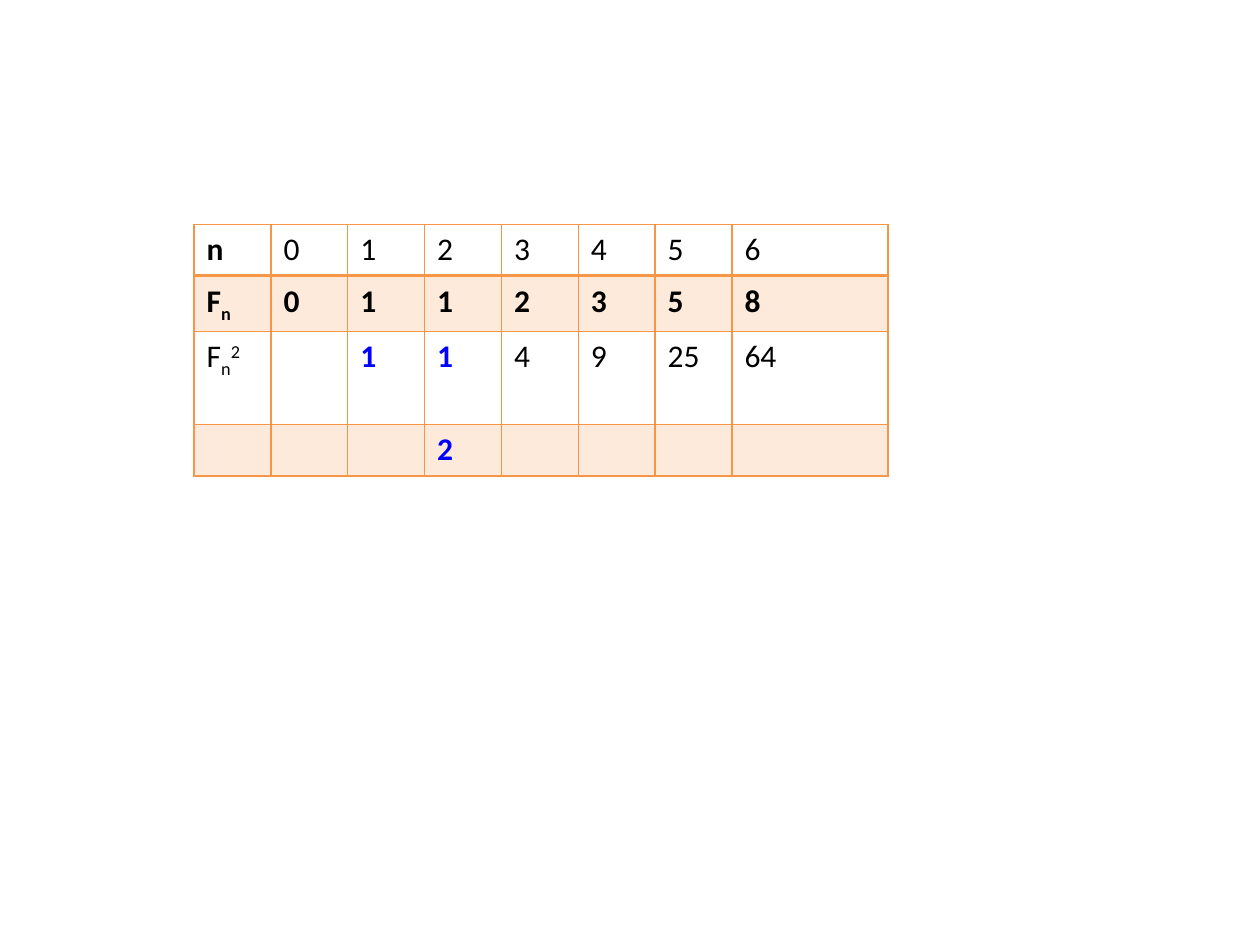
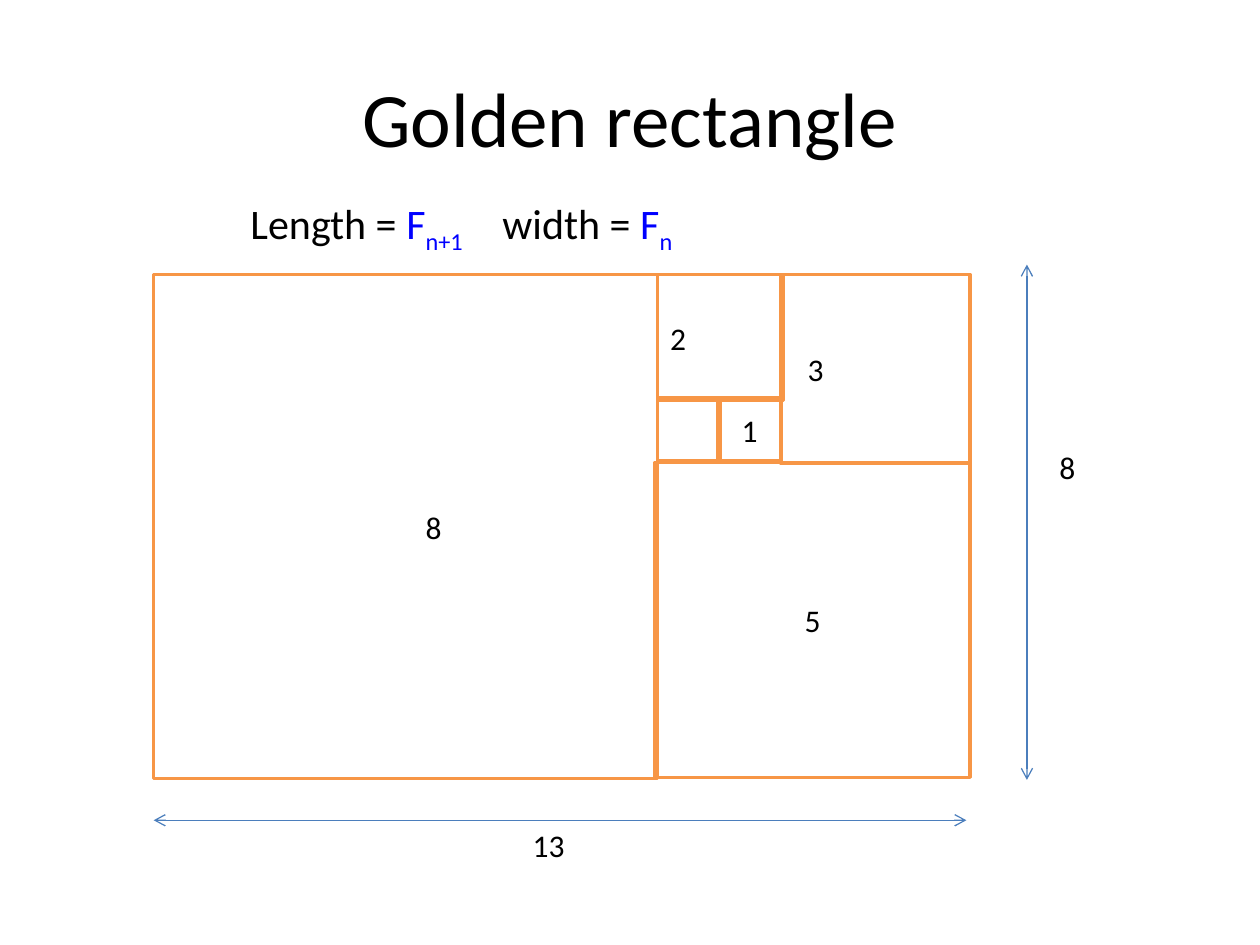
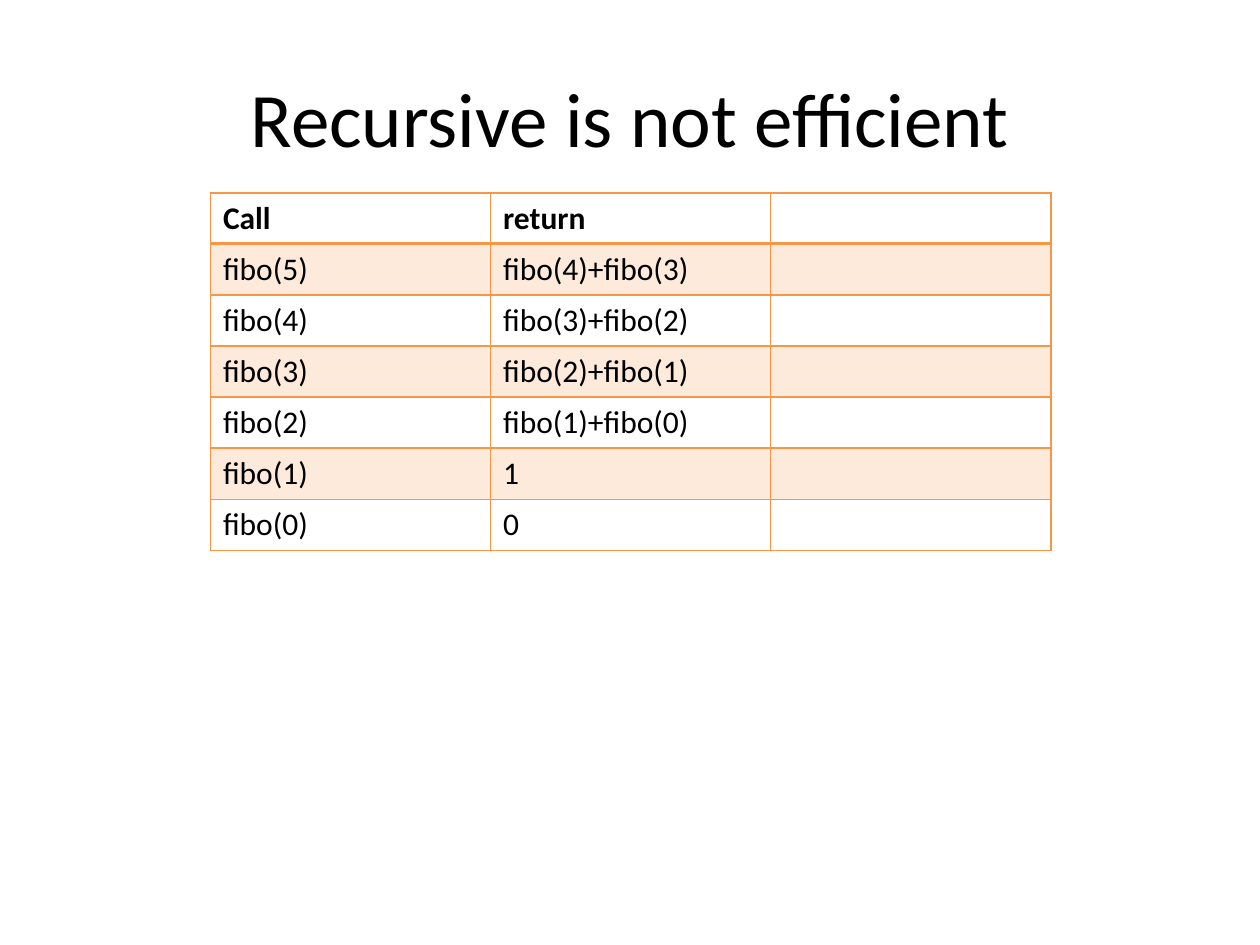
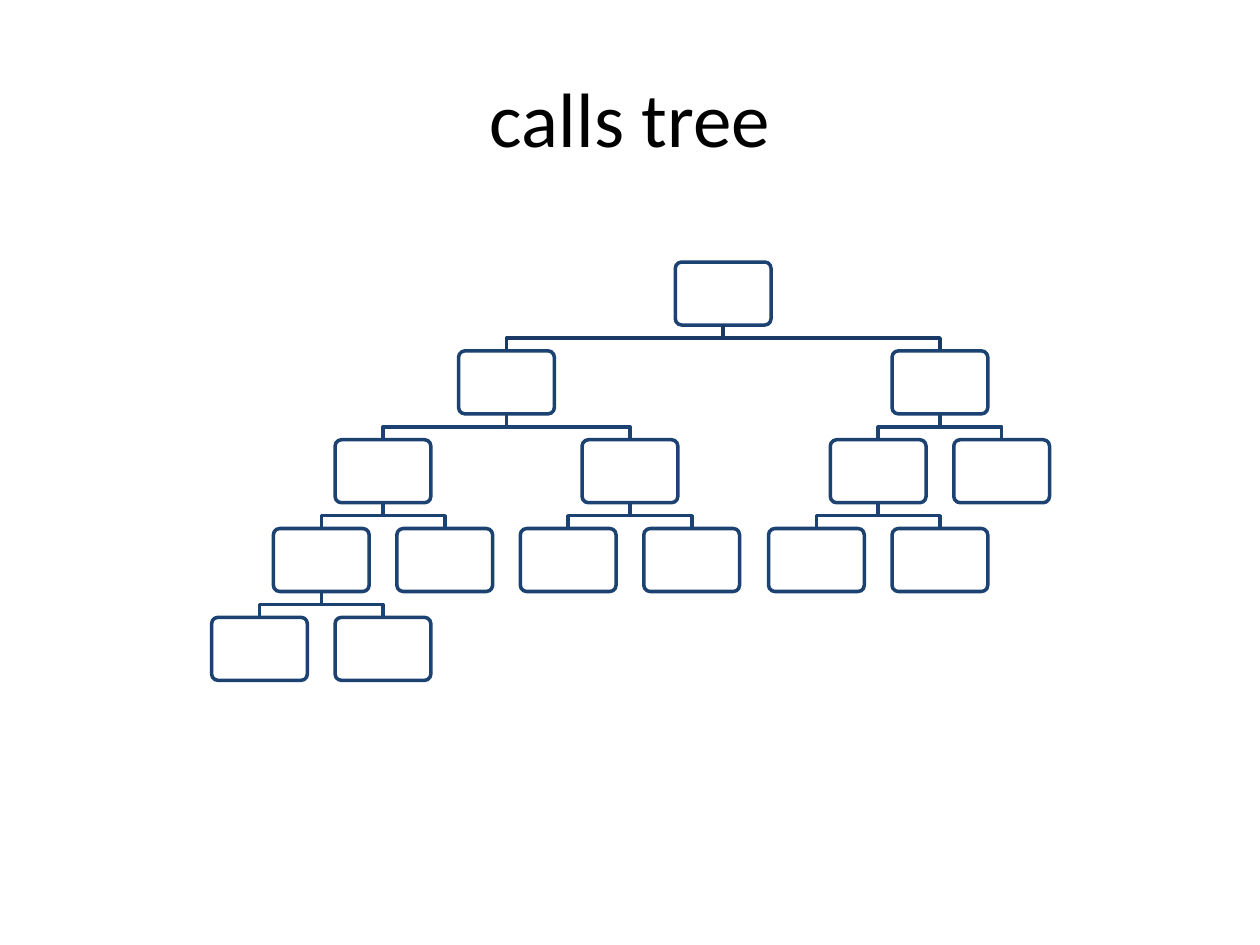
"""Build four slides on Fibonacci numbers, the golden rectangle and recursive calls."""
from typing import NamedTuple

from lxml import etree
from pptx import Presentation
from pptx import util as u
from pptx.dml.color import RGBColor
from pptx.enum import shapes, text
from pptx.oxml import ns

FONT = "Calibri"
BLACK, WHITE, BLUE = "000000", "FFFFFF", "0000FF"
ORANGE, STEEL, NAVY, DARK = "F79646", "4B7EBC", "1C4271", "193A64"
UNIT = 0.5
NODE_W, NODE_H, LEVEL = 0.76, 0.5, 0.705
SPREAD = {5: 1.72, 4: 0.98, 3: 0.49, 2: 0.49}
CENTER, LEFT = text.PP_ALIGN.CENTER, text.PP_ALIGN.LEFT


class Run(NamedTuple):
    """A piece of text with its own weight, colour and baseline."""
    text: str
    bold: bool = False
    color: str = BLACK
    base: int = 0


class Square(NamedTuple):
    """A square of the golden rectangle, its side in Fibonacci units."""
    left: float
    top: float
    side: int
    label: str = ""
    align: text.PP_ALIGN = CENTER
    inset: float = 0.1


class Arrow(NamedTuple):
    """A double-headed measure with the place of its label."""
    start: tuple
    end: tuple
    label: str
    place: tuple


def rgb(code: str) -> RGBColor:
    """Turn a hex string into a colour."""
    return RGBColor.from_string(code)


def write(frame, content, size: float = 18, align=None, anchor=None):
    """Write a string or a series of runs into the first paragraph."""
    par = frame.paragraphs[0]
    if align is not None:
        par.alignment = align
    if anchor is not None:
        frame.vertical_anchor = anchor
    runs = [Run(content)] if isinstance(content, str) else content
    for item in runs:
        if not item.text:
            continue
        run = par.add_run()
        run.text = item.text
        font = run.font
        font.name, font.size, font.bold = FONT, u.Pt(size), item.bold
        font.color.rgb = rgb(item.color)
        if item.base:
            font._element.set("baseline", str(item.base * 1000))
    return par


def stroke(shape, color: str, width: float) -> None:
    """Set the line of a shape."""
    shape.line.color.rgb = rgb(color)
    shape.line.width = u.Pt(width)


def add_title(deck, title: str):
    """Add a slide with a centred title."""
    slide = deck.slides.add_slide(deck.slide_layouts[5])
    head = slide.shapes.title
    head.left, head.top = u.Inches(0.5), u.Inches(0.3)
    head.width, head.height = u.Inches(9), u.Inches(1.25)
    write(head.text_frame, title, size=44, align=CENTER, anchor=text.MSO_ANCHOR.MIDDLE)
    return slide


def add_box(slide, left: float, top: float, width: float, height: float, wrap: bool):
    """Add an empty text box and return its frame."""
    box = slide.shapes.add_textbox(*map(u.Inches, (left, top, width, height)))
    box.text_frame.word_wrap = wrap
    return box.text_frame


def edge(cell, side: str, width: float) -> None:
    """Draw one border of a cell."""
    props = cell._tc.get_or_add_tcPr()
    line = etree.SubElement(props, ns.qn(f"a:ln{side}"), w=str(u.Pt(width)))
    fill = etree.SubElement(line, ns.qn("a:solidFill"))
    etree.SubElement(fill, ns.qn("a:srgbClr"), val=ORANGE)


def shade(cell) -> None:
    """Fill a cell with a light tint of orange."""
    cell.fill.solid()
    cell.fill.fore_color.rgb = rgb(ORANGE)
    tint = cell._tc.tcPr.find(f"{ns.qn('a:solidFill')}/{ns.qn('a:srgbClr')}")
    etree.SubElement(tint, ns.qn("a:alpha"), val="20000")


def add_grid(slide, left: float, top: float, widths: list, heights: list, rows: list) -> None:
    """Add a banded table with a heavier rule under its first row."""
    area = map(u.Inches, (left, top, sum(widths), sum(heights)))
    table = slide.shapes.add_table(len(rows), len(widths), *area).table
    for col, width in zip(table.columns, widths):
        col.width = u.Inches(width)
    for i, (row, height) in enumerate(zip(rows, heights)):
        table.rows[i].height = u.Inches(height)
        for j, content in enumerate(row):
            cell = table.cell(i, j)
            write(cell.text_frame, content)
            for side in "LRTB":
                edge(cell, side, 2 if (i, side) in ((0, "B"), (1, "T")) else 1)
            if i % 2:
                shade(cell)
            else:
                cell.fill.background()


def add_square(slide, item: Square) -> None:
    """Draw a square with its side as label."""
    side = u.Inches(item.side * UNIT)
    shape = slide.shapes.add_shape(
        shapes.MSO_SHAPE.RECTANGLE, u.Inches(item.left), u.Inches(item.top), side, side)
    shape.shadow.inherit = False
    shape.fill.background()
    stroke(shape, ORANGE, 2)
    shape.text_frame.margin_left = u.Inches(item.inset)
    write(shape.text_frame, item.label, align=item.align, anchor=text.MSO_ANCHOR.MIDDLE)


def add_arrow(slide, item: Arrow) -> None:
    """Draw a measure and its label."""
    ends = map(u.Inches, (*item.start, *item.end))
    line = slide.shapes.add_connector(shapes.MSO_CONNECTOR.STRAIGHT, *ends)
    stroke(line, STEEL, 0.75)
    props = line._element.spPr
    for tag in ("headEnd", "tailEnd"):
        etree.SubElement(props.find(ns.qn("a:ln")), ns.qn(f"a:{tag}"), type="arrow")
    etree.SubElement(props, ns.qn("a:effectLst"))
    write(add_box(slide, *item.place, 0.4, wrap=False), item.label)


def add_link(group, start: tuple, end: tuple, color: str) -> None:
    """Join a call to one of its inner calls with an elbow line."""
    mid = (start[1] + end[1]) / 2
    points = [start, (start[0], mid), (end[0], mid), end]
    first, *rest = [(u.Inches(x), u.Inches(y)) for x, y in points]
    pen = group.shapes.build_freeform(*first)
    pen.add_line_segments(rest, close=False)
    line = pen.convert_to_shape()
    line.shadow.inherit = False
    line.fill.background()
    stroke(line, color, 2)


def add_call(group, n: int, mid: float, top: float) -> None:
    """Draw a call and, below it, the calls it makes."""
    node = group.shapes.add_shape(
        shapes.MSO_SHAPE.ROUNDED_RECTANGLE,
        *map(u.Inches, (mid - NODE_W / 2, top, NODE_W, NODE_H)))
    node.adjustments[0] = 0.1
    node.shadow.inherit = False
    node.fill.solid()
    node.fill.fore_color.rgb = rgb(WHITE)
    stroke(node, NAVY, 2)
    if n < 2:
        return
    for sign, less in ((-1, 1), (1, 2)):
        child = mid + sign * SPREAD[n]
        below = top + LEVEL
        add_link(group, (mid, top + NODE_H), (child, below), DARK if n == 5 else NAVY)
        add_call(group, n - less, child, below)


def draw_table(deck) -> None:
    """Show the numbers and their squares."""
    slide = deck.slides.add_slide(deck.slide_layouts[6])
    one, two = [Run("1", True, BLUE)], [Run("2", True, BLUE)]
    rows = [
        [[Run("n", True)], *"0123456"],
        [[Run("F", True), Run("n", True, base=-25)], *([Run(c, True)] for c in "0112358")],
        [[Run("F"), Run("n", base=-25), Run("2", base=30)], "", one, one, "4", "9", "25", "64"],
        ["", "", "", two, "", "", "", ""],
    ]
    add_grid(slide, 1.54, 1.78, [0.61] * 7 + [1.24], [0.41, 0.44, 0.74, 0.41], rows)


def draw_golden(deck) -> None:
    """Show the golden rectangle made of squares."""
    slide = add_title(deck, "Golden rectangle")
    frame = add_box(slide, 0.51, 1.39, 9, 4.95, wrap=True)
    frame.margin_top = u.Inches(0.18)
    par = write(frame, [
        Run("Length = "), Run("F", color=BLUE), Run("n+1", color=BLUE, base=-25),
        Run("\twidth = "), Run("F", color=BLUE), Run("n", color=BLUE, base=-25)], size=24)
    par._p.get_or_add_pPr().set("marL", str(u.Inches(1.38)))
    for item in (
        Arrow((1.22, 6.51), (7.67, 6.51), "13", (4.13, 6.51, 0.46)),
        Arrow((8.15, 2.1), (8.15, 6.19), "8", (8.31, 3.51, 0.33)),
    ):
        add_arrow(slide, item)
    for item in (
        Square(5.7, 3.16, 1, "1"),
        Square(5.22, 3.16, 1),
        Square(5.22, 2.18, 2, "2", LEFT),
        Square(5.2, 3.67, 5, "5"),
        Square(1.22, 2.18, 8, "8", inset=0.54),
        Square(6.2, 2.18, 3, "3", LEFT, 0.21),
    ):
        add_square(slide, item)


def draw_calls(deck) -> None:
    """List what each recursive call returns."""
    slide = add_title(deck, "Recursive is not efficient")
    rows = [[[Run("Call", True)], [Run("return", True)], ""]]
    for n in range(5, -1, -1):
        value = f"fibo({n - 1})+fibo({n - 2})" if n > 1 else str(n)
        rows.append([f"fibo({n})", value, ""])
    add_grid(slide, 1.67, 1.53, [6.67 / 3] * 3, [2.84 / 7] * 7, rows)


def draw_tree(deck) -> None:
    """Show the tree of calls made by fibo(5)."""
    slide = add_title(deck, "calls tree")
    add_call(slide.shapes.add_group_shape(), 5, 5.74, 2.08)


def main() -> None:
    """Build and save the deck."""
    deck = Presentation()
    deck.slide_width, deck.slide_height = u.Inches(10), u.Inches(7.5)
    for draw in (draw_table, draw_golden, draw_calls, draw_tree):
        draw(deck)
    deck.save("out.pptx")


main()
